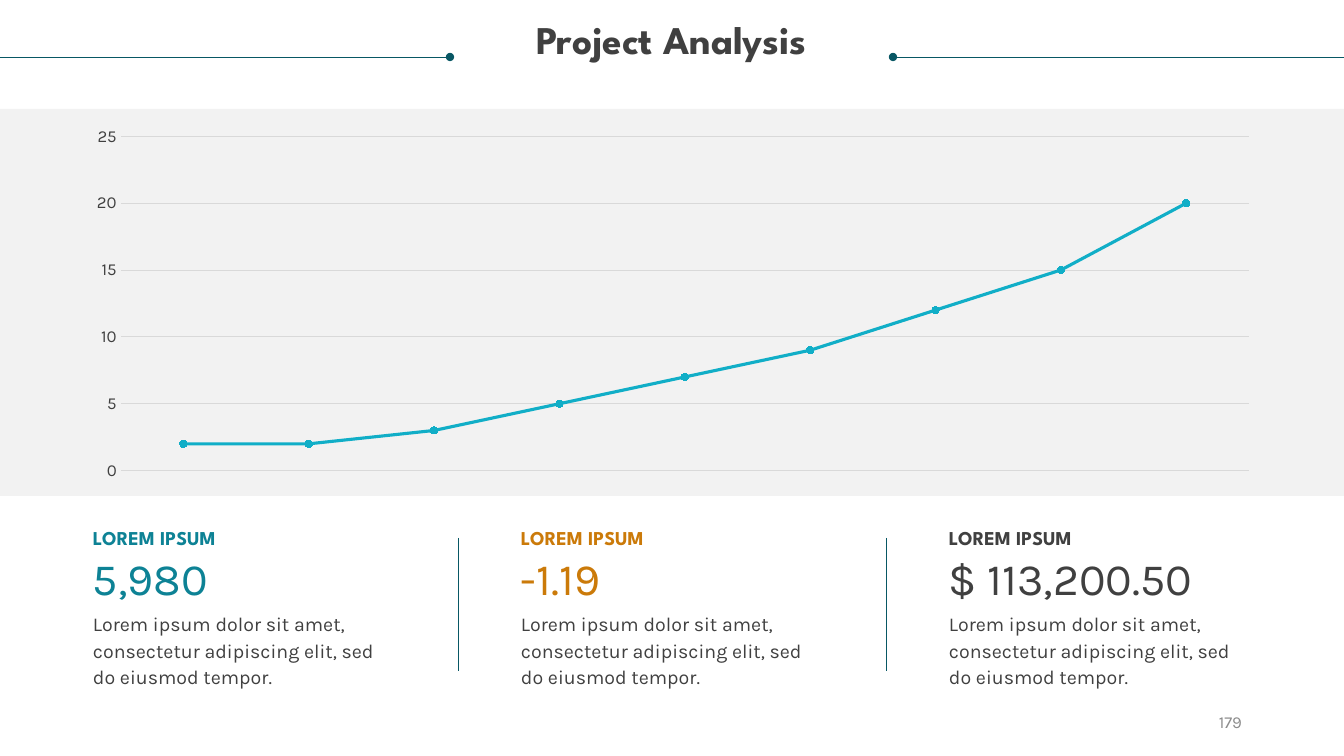
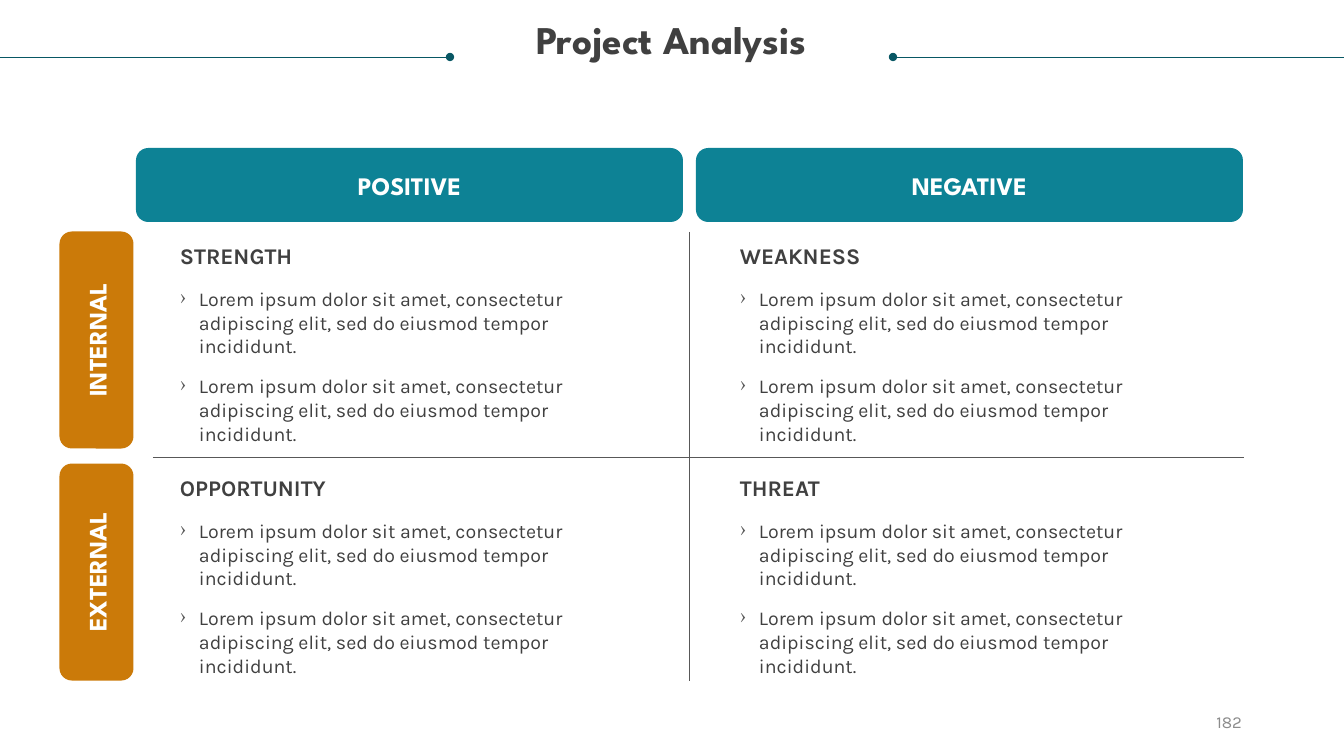
from itertools import product

from lxml import etree
from pptx import Presentation
from pptx.chart.data import CategoryChartData
from pptx.dml.color import RGBColor
from pptx.enum.chart import XL_CHART_TYPE, XL_MARKER_STYLE, XL_TICK_MARK
from pptx.enum.shapes import MSO_CONNECTOR, MSO_SHAPE
from pptx.enum.text import MSO_ANCHOR, PP_ALIGN
from pptx.oxml.ns import qn
from pptx.util import Emu, Pt

LINE_MARKERS = XL_CHART_TYPE.LINE_MARKERS
CIRCLE = XL_MARKER_STYLE.CIRCLE
NO_TICKS = XL_TICK_MARK.NONE
STRAIGHT = MSO_CONNECTOR.STRAIGHT
RECTANGLE = MSO_SHAPE.RECTANGLE
ROUNDED = MSO_SHAPE.ROUNDED_RECTANGLE
TOP, MIDDLE = MSO_ANCHOR.TOP, MSO_ANCHOR.MIDDLE
LEFT, CENTER, RIGHT = PP_ALIGN.LEFT, PP_ALIGN.CENTER, PP_ALIGN.RIGHT

PX_PER_INCH = 100.8
SLIDE_WIDTH, SLIDE_HEIGHT = 1344, 756

HEADING_FONT, BODY_FONT = "League Spartan", "Karla"
TEXT = "404040"
TEAL = "0D8295"
ORANGE = "CB7A09"
RULE = "085764"
GRID_RULE = "585858"
BAND = "F2F2F2"
CHART_LINE = "11AEC7"
CHART_GRID = "D9D9D9"
PAGE_NUMBER = "8C8C8C"
WHITE = "FFFFFF"

TITLE = "Project Analysis"
SUMMARY = "Lorem ipsum dolor sit amet, consectetur adipiscing elit, sed do eiusmod tempor."
BULLET = "Lorem ipsum dolor sit amet, consectetur adipiscing elit, sed do eiusmod tempor incididunt."


def px(length):
    return Emu(round(length * 914400 / PX_PER_INCH))


def rgb(color):
    return RGBColor.from_string(color)


def style_font(font, size, color, name=BODY_FONT, bold=False):
    font.size = Pt(size)
    font.name = name
    font.bold = bold
    font.color.rgb = rgb(color)


def add_text(slide, box, text, size, color, name=BODY_FONT, bold=False,
             align=LEFT, spacing=None):
    frame = slide.shapes.add_textbox(*map(px, box)).text_frame
    frame.word_wrap = True
    frame.margin_left = frame.margin_right = frame.margin_top = frame.margin_bottom = 0
    frame.vertical_anchor = TOP
    paragraph = frame.paragraphs[0]
    paragraph.text = text
    paragraph.alignment = align
    if spacing:
        paragraph.line_spacing = spacing
    style_font(paragraph.font, size, color, name, bold)
    return frame


def add_block(slide, kind, box, color):
    shape = slide.shapes.add_shape(kind, *map(px, box))
    shape.shadow.inherit = False
    shape.fill.solid()
    shape.fill.fore_color.rgb = rgb(color)
    shape.line.fill.background()
    return shape


def add_rule(slide, start, end, color=RULE, dot=False):
    """Draw a thin line, with a dot at its start if asked."""
    rule = slide.shapes.add_connector(STRAIGHT, *map(px, (*start, *end)))
    rule.line.color.rgb = rgb(color)
    rule.line.width = Pt(0.5)
    properties = rule._element.spPr
    if dot:
        etree.SubElement(properties.find(qn("a:ln")), qn("a:headEnd"), type="oval")
    etree.SubElement(properties, qn("a:effectLst"))


def add_label(slide, box, text, color, rotation=0):
    """Add a rounded label; a rotated one is centred on the same box."""
    left, top, width, height = box
    if rotation:
        box = (left + (width - height) // 2, top + (height - width) // 2, height, width)
    shape = add_block(slide, ROUNDED, box, color)
    shape.rotation = rotation
    frame = shape.text_frame
    frame.vertical_anchor = MIDDLE
    paragraph = frame.paragraphs[0]
    paragraph.text = text
    paragraph.alignment = CENTER
    style_font(paragraph.font, 18, WHITE, HEADING_FONT, True)


def add_bullets(slide, box, items):
    frame = add_text(slide, box, items[0], 14, TEXT)
    for index, item in enumerate(items):
        paragraph = frame.paragraphs[0] if index == 0 else frame.add_paragraph()
        paragraph.text = item
        properties = paragraph._p.get_or_add_pPr()
        for child in list(properties):
            properties.remove(child)
        properties.set("marL", str(px(19)))
        properties.set("indent", str(-px(19)))
        bullet_color = etree.SubElement(properties, qn("a:buClr"))
        etree.SubElement(bullet_color, qn("a:srgbClr"), val=GRID_RULE)
        etree.SubElement(properties, qn("a:buChar"), char="›")
        if index:
            paragraph.space_before = Pt(12)
        style_font(paragraph.font, 14, TEXT)


def add_base_slide(presentation, number):
    """Add a blank slide with the shared title, title rules and page number."""
    slide = presentation.slides.add_slide(presentation.slide_layouts[6])
    for inner, outer in ((450, 0), (893, SLIDE_WIDTH)):
        add_rule(slide, (inner, 57), (outer, 57), dot=True)
    add_text(slide, (25, 21, 1293, 74), TITLE, 28, TEXT, HEADING_FONT, True, CENTER, 0.9)
    add_text(slide, (950, 712, 292, 20), str(number), 12, PAGE_NUMBER, align=RIGHT)
    return slide


def add_trend_chart(slide, box, values):
    data = CategoryChartData()
    data.categories = [str(index) for index in range(1, len(values) + 1)]
    data.add_series("Series 1", values)
    chart = slide.shapes.add_chart(LINE_MARKERS, *map(px, box), data).chart
    chart.has_legend = False
    chart.has_title = False
    style_font(chart.font, 12, TEXT)
    chart.category_axis.visible = False

    axis = chart.value_axis
    axis.minimum_scale, axis.maximum_scale, axis.major_unit = 0, 25, 5
    axis.major_tick_mark = axis.minor_tick_mark = NO_TICKS
    axis.format.line.fill.background()
    axis.major_gridlines.format.line.color.rgb = rgb(CHART_GRID)
    axis.major_gridlines.format.line.width = Pt(0.75)

    plot = chart.plots[0]
    plot.vary_by_categories = False
    series = plot.series[0]
    series.smooth = False
    series.format.line.color.rgb = rgb(CHART_LINE)
    series.format.line.width = Pt(2.25)
    marker = series.marker
    marker.style = CIRCLE
    marker.size = 5
    marker.format.fill.solid()
    marker.format.fill.fore_color.rgb = rgb(CHART_LINE)
    marker.format.line.color.rgb = rgb(CHART_LINE)


def add_figure(slide, box, value, color):
    left, top, width, _ = box
    add_text(slide, (left, top, width, 24), "LOREM IPSUM", 14, color,
             HEADING_FONT, True, spacing=Pt(19))
    add_text(slide, (left, top + 28, width, 54), value, 32, color)
    add_text(slide, (left, top + 86, width, 79), SUMMARY, 14, TEXT, spacing=Pt(19))


def build_trend_slide(presentation):
    slide = add_base_slide(presentation, 179)
    add_block(slide, RECTANGLE, (0, 109, SLIDE_WIDTH, 387), BAND)
    add_trend_chart(slide, (73, 119, 1200, 369), (2, 2, 3, 5, 7, 9, 12, 15, 20))
    figures = (("5,980", TEAL), ("-1.19", ORANGE), ("$ 113,200.50", TEXT))
    column_pitch = 428
    for index, (value, color) in enumerate(figures):
        left = 93 + index * column_pitch
        add_figure(slide, (left, 523, 302, 165), value, color)
        if index:
            add_rule(slide, (left - 63, 538), (left - 63, 671))


def add_quadrant(slide, box, heading):
    left, top, width, height = box
    add_text(slide, (left, top, width, 27), heading, 16, TEXT, bold=True)
    add_bullets(slide, (left, top + 45, width, height - 45), [BULLET, BULLET])


def build_swot_slide(presentation):
    slide = add_base_slide(presentation, 182)
    left, top = 136, 232
    column_width, column_pitch = 547, 560
    row_height, row_pitch = 217, 232
    columns = [left + index * column_pitch for index in range(2)]
    rows = [top + index * row_pitch for index in range(2)]

    for column, text in zip(columns, ("POSITIVE", "NEGATIVE")):
        add_label(slide, (column, 148, column_width, 74), text, TEAL)
    for row, text in zip(rows, ("INTERNAL", "EXTERNAL")):
        add_label(slide, (60, row, 74, row_height), text, ORANGE, rotation=270)

    add_rule(slide, (153, 457), (1244, 457), GRID_RULE)
    add_rule(slide, (689, top), (689, 681), GRID_RULE)
    headings = ("STRENGTH", "WEAKNESS", "OPPORTUNITY", "THREAT")
    for (row, column), heading in zip(product(rows, columns), headings):
        add_quadrant(slide, (column + 44, row + 10, 459, 207), heading)


def main():
    presentation = Presentation()
    presentation.slide_width = px(SLIDE_WIDTH)
    presentation.slide_height = px(SLIDE_HEIGHT)
    build_trend_slide(presentation)
    build_swot_slide(presentation)
    presentation.save("out.pptx")


if __name__ == "__main__":
    main()
